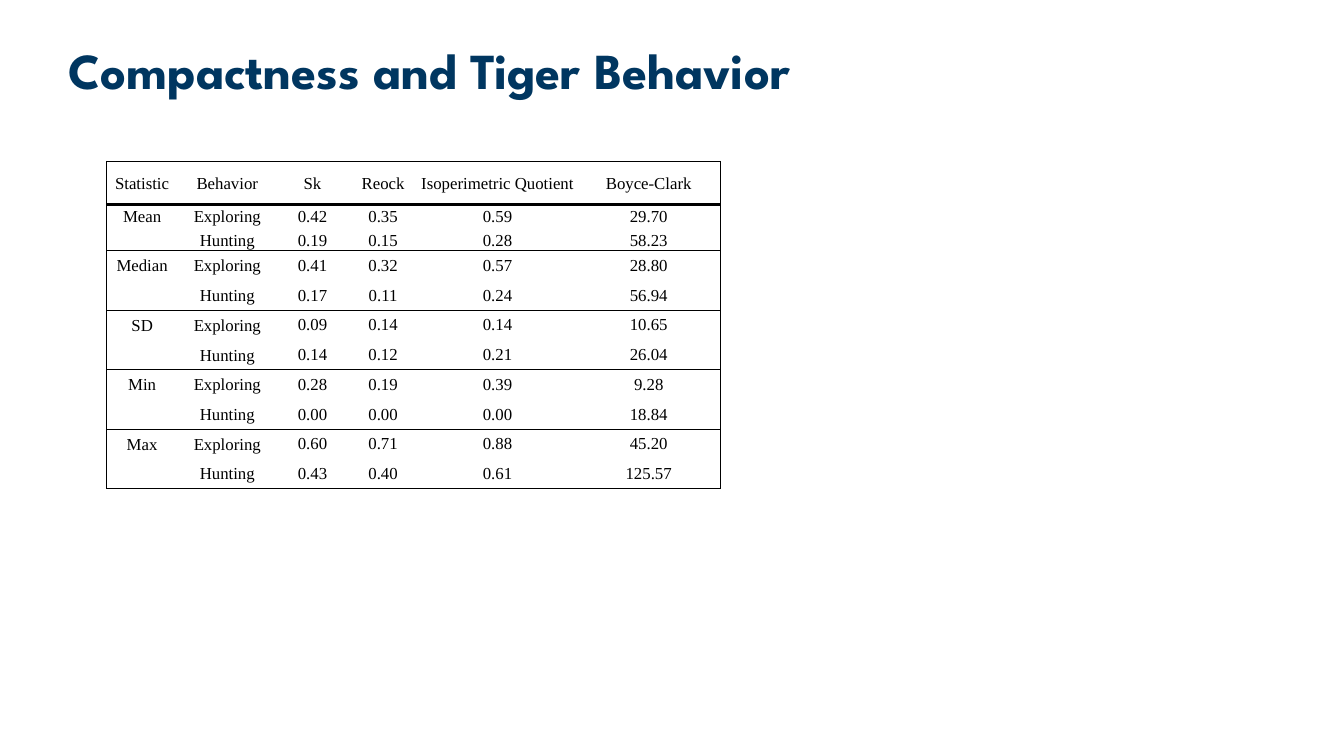
from lxml.etree import SubElement
from pptx import Presentation
from pptx.dml.color import RGBColor
from pptx.enum.text import MSO_ANCHOR, PP_ALIGN
from pptx.oxml.ns import qn
from pptx.util import Inches, Pt

COLORS = {"title": "003660", "ink": "000000"}
THIN, THICK = 0.75, 2

HEAD = ["Statistic", "Behavior", "Sk", "Reock", "Isoperimetric Quotient", "Boyce-Clark"]
STATS = {
    "Mean": (["0.42", "0.35", "0.59", "29.70"], ["0.19", "0.15", "0.28", "58.23"]),
    "Median": (["0.41", "0.32", "0.57", "28.80"], ["0.17", "0.11", "0.24", "56.94"]),
    "SD": (["0.09", "0.14", "0.14", "10.65"], ["0.14", "0.12", "0.21", "26.04"]),
    "Min": (["0.28", "0.19", "0.39", "9.28"], ["0.00", "0.00", "0.00", "18.84"]),
    "Max": (["0.60", "0.71", "0.88", "45.20"], ["0.43", "0.40", "0.61", "125.57"]),
}
WIDTHS = [0.7, 0.99, 0.7, 0.7, 1.57, 1.43]
HEIGHTS = [0.43, 0.24, 0.22] + [2.36 / 8] * 8


class Deck:
    def __init__(self):
        self.file = Presentation()
        self.file.slide_width = Inches(13.33)
        self.file.slide_height = Inches(7.5)
        self.slide = self.file.slides.add_slide(self.file.slide_layouts[6])

    def style(self, para, face, size, color, bold=False):
        font = para.font
        font.name, font.size, font.bold = face, Pt(size), bold
        font.color.rgb = RGBColor.from_string(COLORS[color])

    def title(self, text, left, top, width, height):
        box = self.slide.shapes.add_textbox(
            Inches(left), Inches(top), Inches(width), Inches(height))
        frame = box.text_frame
        frame.word_wrap = True
        frame.vertical_anchor = MSO_ANCHOR.MIDDLE
        para = frame.paragraphs[0]
        para.text = text
        para.line_spacing = 0.9
        self.style(para, "League Spartan", 36, "title", True)

    def border(self, cell, side, width):
        props = cell._tc.get_or_add_tcPr()
        line = SubElement(props, qn(f"a:ln{side}"), w=str(Pt(width)))
        if width:
            fill = SubElement(line, qn("a:solidFill"))
            SubElement(fill, qn("a:srgbClr"), val=COLORS["ink"])
        else:
            SubElement(line, qn("a:noFill"))

    def cell(self, cell, text, pad, edges):
        for side, width in edges.items():
            self.border(cell, side, width)
        cell.fill.background()
        cell.vertical_anchor = MSO_ANCHOR.MIDDLE
        cell.margin_left = cell.margin_right = Inches(0.01)
        cell.margin_top, cell.margin_bottom = map(Inches, pad)
        para = cell.text_frame.paragraphs[0]
        para.text = text
        para.alignment = PP_ALIGN.CENTER
        self.style(para, "Times New Roman", 12, "ink")
        if not text:
            SubElement(para._p, qn("a:endParaRPr"), sz="1200")

    def table(self, rows, left, top):
        frame = self.slide.shapes.add_table(
            len(rows), len(WIDTHS), Inches(left), Inches(top),
            Inches(sum(WIDTHS)), Inches(sum(HEIGHTS)))
        table = frame.table
        table.first_row = table.horz_banding = False
        for col, width in zip(table.columns, WIDTHS):
            col.width = Inches(width)
        for row, height in zip(table.rows, HEIGHTS):
            row.height = Inches(height)

        # Rules: outer frame, thick line under the head, thin line after each pair
        rules = [THIN, THICK] + [0, THIN] * len(STATS)
        last = len(WIDTHS) - 1
        for r, row in enumerate(rows):
            for c, text in enumerate(row):
                pad = (0.04, 0.04) if r > 2 and c > 1 else (0.01, 0)
                edges = {"L": THIN if c == 0 else 0, "R": THIN if c == last else 0,
                         "T": rules[r], "B": rules[r + 1]}
                self.cell(table.cell(r, c), text, pad, edges)


def main():
    deck = Deck()

    # Title
    deck.title("Compactness and Tiger Behavior", 0.58, 0.4, 12.18, 0.65)

    # Statistics by behavior
    rows = [HEAD]
    for name, (explore, hunt) in STATS.items():
        rows += [[name, "Exploring", *explore], ["", "Hunting", *hunt]]
    deck.table(rows, 1.06, 1.6)

    deck.file.save("out.pptx")


if __name__ == "__main__":
    main()
